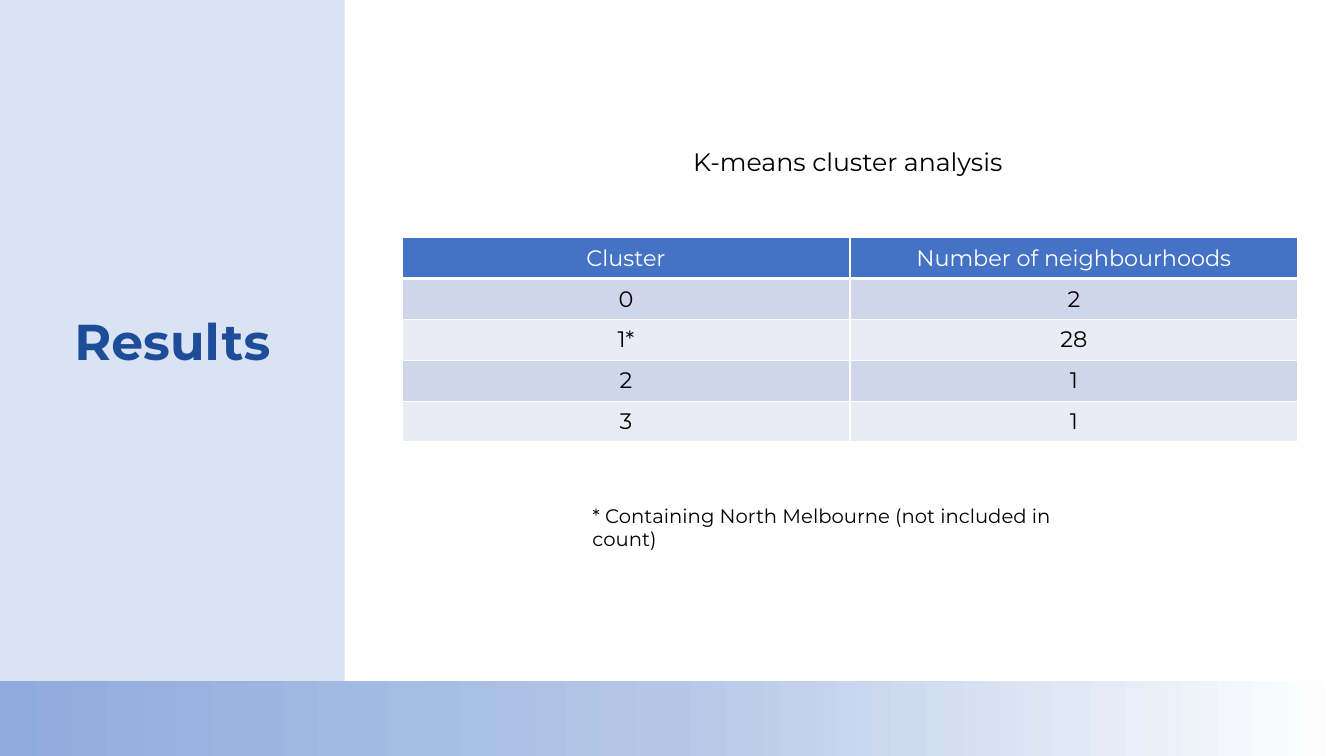
from copy import deepcopy

from lxml.etree import SubElement
from pptx import Presentation
from pptx.dml.color import RGBColor
from pptx.enum.shapes import MSO_SHAPE as Preset
from pptx.enum.text import MSO_ANCHOR as Anchor, PP_ALIGN as Align
from pptx.oxml.ns import qn
from pptx.util import Cm, Pt

FONT = "Montserrat"
WHITE = RGBColor(0xFF, 0xFF, 0xFF)
BLACK = RGBColor(0x00, 0x00, 0x00)
PANEL_BLUE = RGBColor(0xDA, 0xE3, 0xF3)
TITLE_BLUE = RGBColor(0x1D, 0x4C, 0x99)
HEADER_BLUE = RGBColor(0x44, 0x72, 0xC4)
ROW_FILLS = (RGBColor(0xE9, 0xEB, 0xF5), RGBColor(0xCF, 0xD5, 0xEA))
BAND_STOPS = (
    (0, RGBColor(0x8F, 0xAA, 0xDC)),
    (0.5, RGBColor(0xB4, 0xC7, 0xE7)),
    (1, WHITE),
)

SLIDE_WIDTH, SLIDE_HEIGHT = 33.87, 19.05
PANEL_WIDTH, BAND_HEIGHT = 8.69, 1.88
ROW_HEIGHT = 1.03
CLUSTERS = (
    ("Cluster", "Number of neighbourhoods"),
    ("0", "2"),
    ("1*", "28"),
    ("2", "1"),
    ("3", "1"),
)


def write_text(frame, text, size, color=BLACK, bold=False, align=Align.LEFT):
    frame.word_wrap = True
    paragraph = frame.paragraphs[0]
    paragraph.alignment = align
    run = paragraph.add_run()
    run.text = text
    font = run.font
    font.name, font.size, font.bold = FONT, Pt(size), bold
    font.color.rgb = color


def add_rectangle(slide, left, top, width, height):
    shape = slide.shapes.add_shape(
        Preset.RECTANGLE, Cm(left), Cm(top), Cm(width), Cm(height))
    shape.shadow.inherit = False
    shape.line.fill.background()
    return shape


def add_label(slide, left, top, width, height, text, size):
    box = slide.shapes.add_textbox(Cm(left), Cm(top), Cm(width), Cm(height))
    write_text(box.text_frame, text, size)


def set_borders(cell, bottom_width):
    properties = cell._tc.get_or_add_tcPr()
    widths = {"a:lnL": 1, "a:lnR": 1, "a:lnT": 1, "a:lnB": bottom_width}
    for position, (tag, width) in enumerate(widths.items()):
        line = SubElement(properties, qn(tag), w=str(Pt(width)))
        fill = SubElement(line, qn("a:solidFill"))
        SubElement(fill, qn("a:srgbClr"), val=str(WHITE))
        properties.insert(position, line)


def add_title_panel(slide, left, top, width, height):
    panel = add_rectangle(slide, left, top, width, height)
    panel.fill.solid()
    panel.fill.fore_color.rgb = PANEL_BLUE

    # Title in front of the panel
    title = slide.shapes.title
    panel.element.addnext(title.element)
    title.left, title.top = Cm(left + 1.07), Cm(top + 7.67)
    title.width, title.height = Cm(width - 2.14), Cm(1.8)
    title.text_frame.vertical_anchor = Anchor.MIDDLE
    write_text(title.text_frame, "Results", 36, TITLE_BLUE, True, Align.CENTER)


def add_gradient_band(slide, left, top, width, height):
    band = add_rectangle(slide, left, top, width, height)
    fill = band.fill
    fill.gradient()
    fill.gradient_angle = 0
    stop_list = next(band.element.iter(qn("a:gsLst")))
    stop_list.append(deepcopy(stop_list[-1]))
    for stop, (position, color) in zip(fill.gradient_stops, BAND_STOPS):
        stop.position = position
        stop.color.rgb = color


def add_cluster_table(slide, left, top, width):
    row_count, column_count = len(CLUSTERS), len(CLUSTERS[0])
    table = slide.shapes.add_table(
        row_count, column_count, Cm(left), Cm(top),
        Cm(width), Cm(ROW_HEIGHT * row_count)).table
    for row_index, values in enumerate(CLUSTERS):
        header = row_index == 0
        for column_index, value in enumerate(values):
            cell = table.cell(row_index, column_index)
            cell.vertical_anchor = Anchor.MIDDLE
            cell.fill.solid()
            cell.fill.fore_color.rgb = (
                HEADER_BLUE if header else ROW_FILLS[row_index % 2])
            write_text(cell.text_frame, value, 16,
                       WHITE if header else BLACK, align=Align.CENTER)
            set_borders(cell, 3 if header else 1)


def add_results(slide, left, top, width):
    # Caption, table and footnote
    add_label(slide, left + 8.53, top + 3.56, 8.38, 1.02,
              "K-means cluster analysis", 18)
    add_cluster_table(slide, left + 1.44, top + 5.99, width - 2.6)
    add_label(slide, left + 5.99, top + 12.57, 13.49, 0.86,
              "* Containing North Melbourne (not included in count)", 14)


def main():
    presentation = Presentation()
    presentation.slide_width = Cm(SLIDE_WIDTH)
    presentation.slide_height = Cm(SLIDE_HEIGHT)
    slide = presentation.slides.add_slide(presentation.slide_layouts[5])

    add_title_panel(slide, 0, 0, PANEL_WIDTH, SLIDE_HEIGHT)
    add_gradient_band(
        slide, 0, SLIDE_HEIGHT - BAND_HEIGHT, SLIDE_WIDTH, BAND_HEIGHT)
    add_results(slide, PANEL_WIDTH, 0, SLIDE_WIDTH - PANEL_WIDTH)
    presentation.save("out.pptx")


if __name__ == "__main__":
    main()
